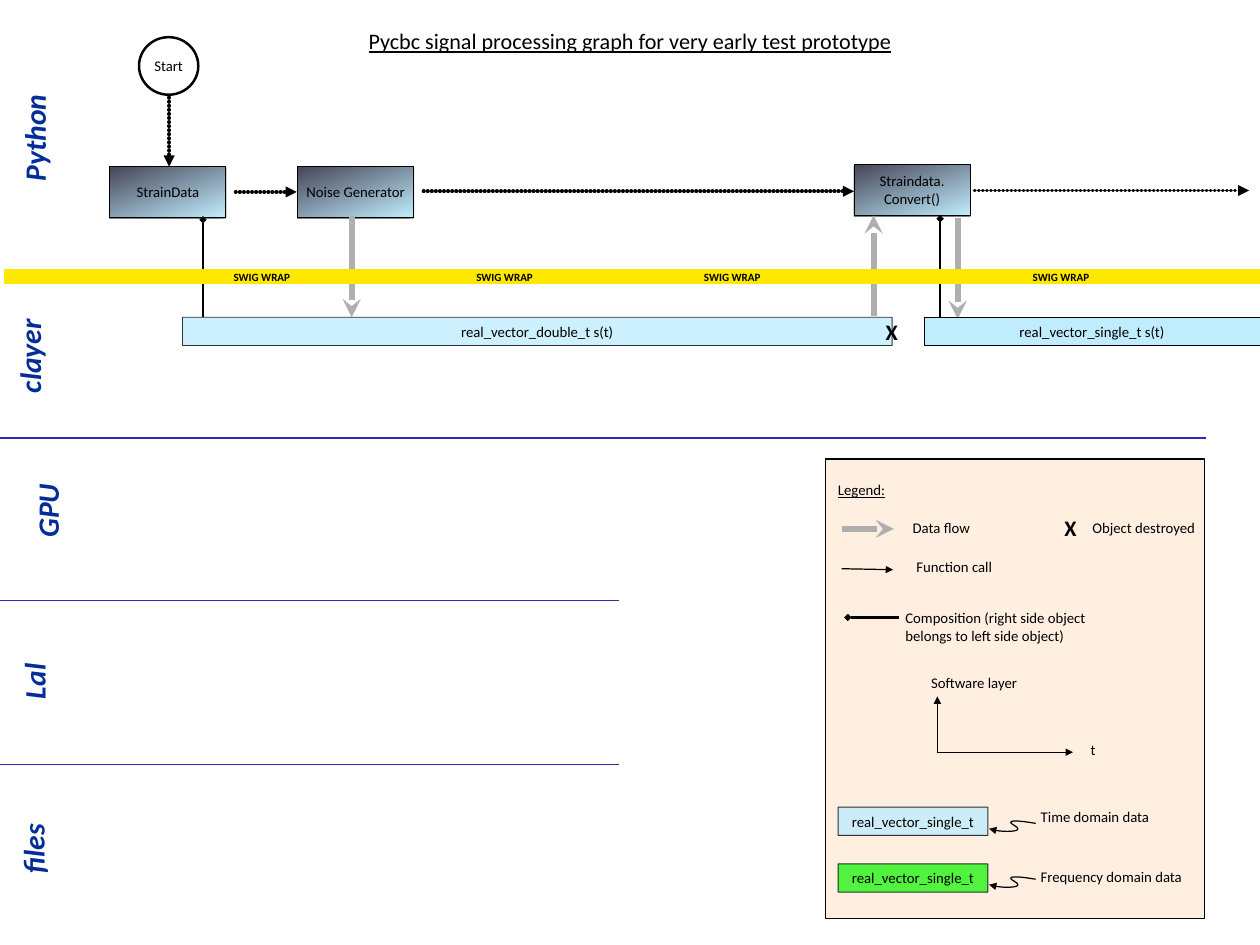
from dataclasses import dataclass

from lxml import etree
from pptx import Presentation
from pptx.dml.color import RGBColor
from pptx.enum import shapes, text
from pptx.oxml import ns
from pptx.util import Pt

FONT = "Calibri"
BLACK, GREY, BLUE, NAVY = "000000", "AFAFAF", "302BB3", "002D99"
YELLOW, CREAM, SKY, GREEN = "FFE800", "FFEFE1", "C0EDFE", "26F318"
WIDTH, HEIGHT = 1024, 768
CENTER, LEFT = text.PP_ALIGN.CENTER, text.PP_ALIGN.LEFT


@dataclass
class Style:
    size: float = 12
    color: str = BLACK
    bold: bool = False
    italic: bool = False
    underline: bool = False
    align: text.PP_ALIGN = CENTER


@dataclass
class Pen:
    width: float
    color: str = BLACK
    head: str = ""
    tail: str = ""
    dotted: bool = False


@dataclass
class Box:
    words: str
    x: float
    y: float
    w: float
    h: float
    fill: str = ""
    alpha: int = 100


@dataclass
class Label:
    words: str
    x: float
    y: float
    w: float
    h: float
    style: Style
    rotation: float = 0


@dataclass
class Link:
    x1: float
    y1: float
    x2: float
    y2: float
    pen: Pen


NORMAL = Style()
UNDERLINED = Style(underline=True)
CROSS = Style(18, bold=True)
WRAP = Style(9, bold=True)
LAYER = Style(24, NAVY, bold=True, italic=True)

DIVIDER = Pen(1, BLUE)
BAND = Pen(12, YELLOW)
CALL = Pen(1, tail="triangle")
STEP = Pen(3, tail="triangle", dotted=True)
FLOW = Pen(5, GREY, tail="stealth")
OWNS = Pen(2, head="diamond")


def rgb(color: str) -> RGBColor:
    return RGBColor.from_string(color)


def sub(parent, tag: str, **attrs):
    return etree.SubElement(parent, ns.qn(tag), attrs)


def set_text(sp, words: str, style: Style, anchor=text.MSO_ANCHOR.MIDDLE, wrap: bool = True) -> None:
    tf = sp.text_frame
    tf.text = words
    tf.auto_size, tf.word_wrap, tf.vertical_anchor = text.MSO_AUTO_SIZE.NONE, wrap, anchor
    tf.margin_left = tf.margin_right = tf.margin_top = tf.margin_bottom = Pt(0)
    for p in tf.paragraphs:
        p.alignment = style.align
        for r in p.runs:
            f = r.font
            f.name, f.size, f.color.rgb = FONT, Pt(style.size), rgb(style.color)
            f.bold, f.italic, f.underline = style.bold, style.italic, style.underline


def set_alpha(color_format_fill, alpha: int) -> None:
    if alpha < 100:
        sub(color_format_fill.find(".//" + ns.qn("a:srgbClr")), "a:alpha", val=str(alpha * 1000))


def set_pen(sp, pen: Pen) -> None:
    sp.line.color.rgb, sp.line.width = rgb(pen.color), Pt(pen.width)
    ln = sp.line._get_or_add_ln()
    if pen.dotted:
        ln.set("cap", "rnd")
        sub(sub(ln, "a:custDash"), "a:ds", d="10000", sp="100000")
    if pen.head:
        sub(ln, "a:headEnd", type=pen.head)
    if pen.tail:
        sub(ln, "a:tailEnd", type=pen.tail)


def add_box(s, b: Box, kind=shapes.MSO_SHAPE.RECTANGLE, width: float = 0.75):
    sp = s.shapes.add_shape(kind, Pt(b.x), Pt(b.y), Pt(b.w), Pt(b.h))
    sp.shadow.inherit = False
    if b.fill:
        sp.fill.solid()
        sp.fill.fore_color.rgb = rgb(b.fill)
        set_alpha(sp._element.spPr.find(ns.qn("a:solidFill")), b.alpha)
    else:
        sp.fill.background()
    set_pen(sp, Pen(width))
    set_alpha(sp.line._get_or_add_ln(), b.alpha)
    if b.words:
        set_text(sp, b.words, NORMAL)
    return sp


def add_stage(s, b: Box) -> None:
    sp = add_box(s, b)
    sp.fill.gradient()
    sp.fill.gradient_angle = 110
    for stop, color in zip(sp.fill.gradient_stops, (SKY, "464658")):
        stop.color.rgb = rgb(color)
    effects = sp._element.spPr.find(ns.qn("a:effectLst"))
    shadow = sub(effects, "a:outerShdw", blurRad="0", dist=str(Pt(1)), dir="5400000", rotWithShape="0")
    sub(sub(shadow, "a:srgbClr", val=BLACK), "a:alpha", val="50000")


def add_label(s, t: Label) -> None:
    sp = s.shapes.add_textbox(Pt(t.x), Pt(t.y), Pt(t.w), Pt(t.h))
    sp.rotation = t.rotation
    set_text(sp, t.words, t.style, wrap=False)


def add_link(s, k: Link) -> None:
    sp = s.shapes.add_connector(shapes.MSO_CONNECTOR.STRAIGHT, Pt(k.x1), Pt(k.y1), Pt(k.x2), Pt(k.y2))
    set_pen(sp, k.pen)
    sub(sp._element.spPr, "a:effectLst")


def add_squiggle(s, x: float, y: float) -> None:
    curves = [((0, 0), (0, 0), (-29.7, -5.4), (-17.2, 1.8)),
              ((-17.2, 1.8), (-6.7, 7.6), (-29.2, 7.5), (-37.9, 4.4))]
    points = []
    for curve in curves:
        for t in (i / 12 for i in range(1, 13)):
            weights = ((1 - t) ** 3, 3 * t * (1 - t) ** 2, 3 * t * t * (1 - t), t ** 3)
            dx, dy = (sum(w * c[axis] for w, c in zip(weights, curve)) for axis in (0, 1))
            points.append((Pt(x + dx), Pt(y + dy)))
    builder = s.shapes.build_freeform(Pt(x), Pt(y))
    builder.add_line_segments(points, close=False)
    sp = builder.convert_to_shape()
    sp.shadow.inherit = False
    sp.fill.background()
    set_pen(sp, CALL)


def main() -> None:
    prs = Presentation()
    prs.slide_width, prs.slide_height = Pt(WIDTH), Pt(HEIGHT)
    s = prs.slides.add_slide(prs.slide_layouts[5])

    # Title
    title = s.shapes.title
    title.left, title.top, title.width, title.height = Pt(100), Pt(13.7), Pt(824), Pt(30)
    set_text(title, "Pycbc signal processing graph for very early test prototype",
             Style(18, underline=True), text.MSO_ANCHOR.BOTTOM)

    # Software layers
    for words, cx, cy in [("Python", 27.7, 112.3), ("clayer", 23.8, 289.4), ("GPU", 38.2, 415),
                          ("Lal", 27.4, 553.7), ("files", 26.6, 689.8)]:
        add_label(s, Label(words, cx - 57.5, cy - 18, 115, 36, LAYER, 270))
    for y, right in [(356, 980), (488.2, 503), (621.2, 503)]:
        add_link(s, Link(0, y, right, y, DIVIDER))

    # Processing stages
    add_box(s, Box("Start", 113, 30.2, 48.2, 46.8), shapes.MSO_SHAPE.OVAL, 2)
    for words, x, y in [("StrainData", 89.3, 135.4), ("Noise Generator", 241.9, 135.4),
                        ("Straindata.\vConvert()", 694.1, 133.9)]:
        add_stage(s, Box(words, x, y, 94.3, 41))
    for link in [Link(137.5, 79.2, 137.5, 135.4, STEP), Link(191.5, 156, 241.2, 156, STEP),
                 Link(344.2, 155.5, 694.1, 155.5, STEP), Link(792, 154.8, 1015.2, 154.8, STEP)]:
        add_link(s, link)

    # Data vectors, with ownership and data flow
    for link in [Link(165, 178.6, 165, 257.8, OWNS), Link(764, 177.8, 764, 257.8, OWNS),
                 Link(285.8, 175.7, 285.8, 257.8, FLOW), Link(710, 257, 710, 175, FLOW),
                 Link(778.3, 177.1, 778.3, 259.2, FLOW)]:
        add_link(s, link)
    add_box(s, Box("real_vector_single_t s(t)", 751, 257.8, 273, 23, SKY))
    add_box(s, Box("real_vector_double_t s(t)", 148.3, 257.8, 576.7, 23, SKY, 80))
    add_label(s, Label("X", 718.6, 258.5, 12.2, 21.6, CROSS))

    # Wrapper band
    add_link(s, Link(3.6, 224.6, WIDTH, 224.6, BAND))
    for x in (137.5, 334.8, 519.8, 787):
        add_label(s, Label("SWIG WRAP", x, 216.3, 150.5, 18, WRAP))

    # Legend
    add_box(s, Box("", 671, 373, 308.2, 373.7, CREAM), width=1)
    for words, x, y, w, style in [
            ("Legend:", 677.5, 391, 45.4, UNDERLINED), ("Data flow", 738, 421.9, 54, NORMAL),
            ("Object destroyed", 881.3, 421.9, 96.5, NORMAL), ("Function call", 740.2, 453.6, 70.6, NORMAL),
            ("Software layer", 751, 547.9, 81.4, NORMAL), ("t", 886.3, 601.9, 4.3, NORMAL),
            ("Time domain data", 838.8, 656.6, 102.2, NORMAL),
            ("Frequency domain data", 836.6, 705.6, 133.2, NORMAL)]:
        add_label(s, Label(words, x, y, w, 14.4, style))
    add_label(s, Label("Composition (right side object\nbelongs to left side object)",
                       735.8, 494.6, 172.8, 28.8, Style(align=LEFT)))
    add_label(s, Label("X", 864, 418.3, 12.2, 21.6, CROSS))
    for link in [Link(684, 429.8, 726.5, 429.8, FLOW), Link(684, 462.2, 725.8, 463, CALL),
                 Link(689, 501.8, 730.8, 501.8, OWNS), Link(761.8, 612, 761.8, 566, CALL),
                 Link(761.8, 611.3, 872, 611.3, CALL)]:
        add_link(s, link)
    for y, color, tip in [(656, SKY, 669.2), (702, GREEN, 714.6)]:
        add_box(s, Box("real_vector_single_t", 681.1, y, 121.7, 23, color, 80))
        add_squiggle(s, 841.7, tip)

    prs.save("out.pptx")


if __name__ == "__main__":
    main()
